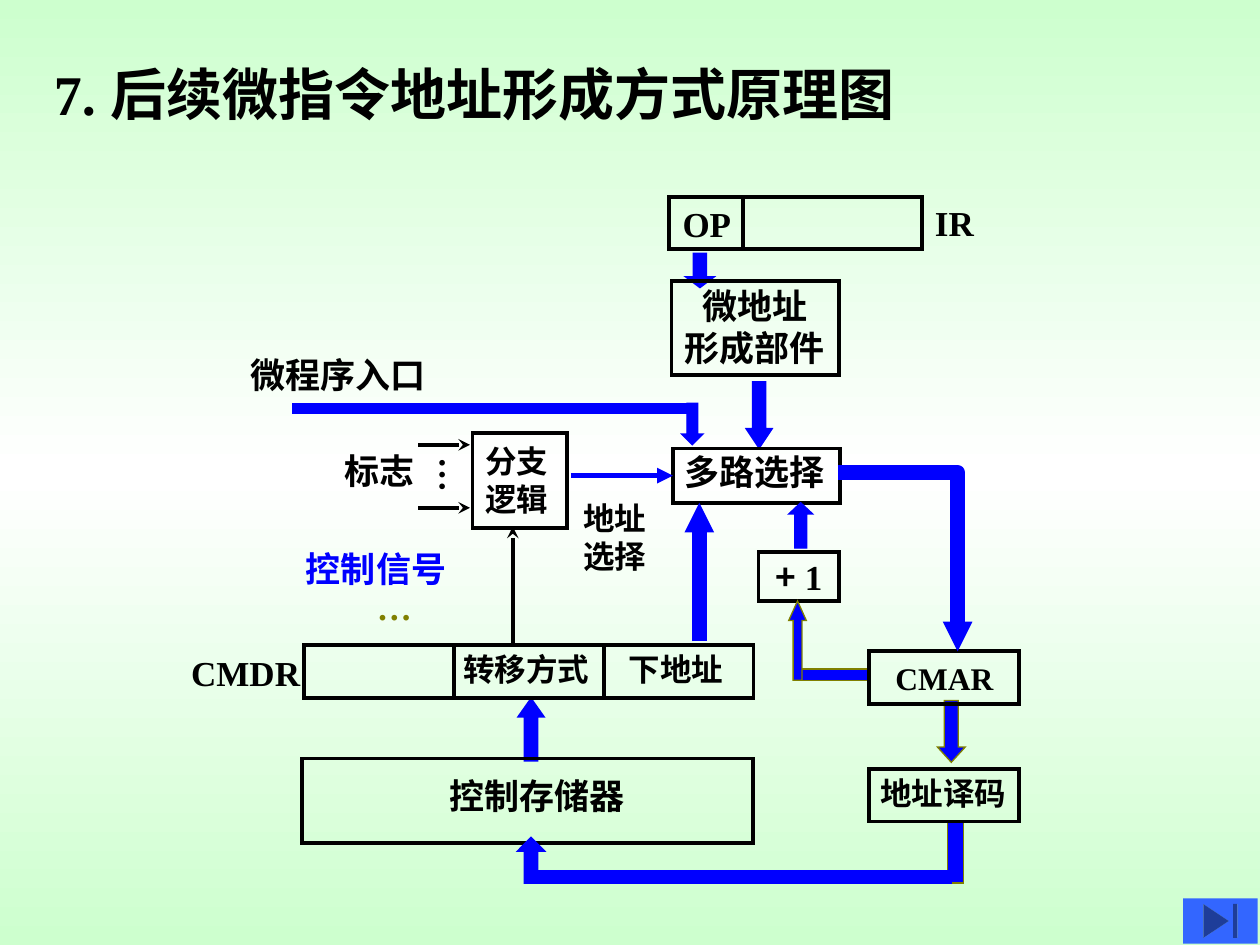
import dataclasses

import lxml.etree
import pptx
import pptx.dml.color
import pptx.enum.shapes
import pptx.enum.text
import pptx.oxml.ns
import pptx.util

Inches = pptx.util.Inches
Shape = pptx.enum.shapes.MSO_SHAPE
qn = pptx.oxml.ns.qn

BLUE, BLACK, OLIVE = "0000FF", "000000", "808000"
SERIF, SANS, CJK_SANS = "Times New Roman", "DejaVu Sans", "Noto Sans CJK SC"
INSETS = (0.1, 0.05, 0.1, 0.05)
LABEL_INSETS = (0.05, 0.05, 0.05, 0.05)


@dataclasses.dataclass
class Box:
    left: float
    top: float
    width: float
    height: float

    def inner(self, x, y, width, height):
        return Box(self.left + x, self.top + y, width, height)

    def point(self, x, y):
        return Inches(self.left + x), Inches(self.top + y)

    def lengths(self):
        return [Inches(v) for v in (self.left, self.top, self.width, self.height)]


def rgb(value):
    return pptx.dml.color.RGBColor.from_string(value)


def set_line(line, color, width):
    line.color.rgb = rgb(color)
    line.width = pptx.util.Pt(width)


def add_tail(shape, kind, size="med"):
    line = shape.line._get_or_add_ln()
    lxml.etree.SubElement(line, qn("a:tailEnd"), type=kind, w=size, len=size)


def write(shape, paragraphs, align="CENTER", insets=INSETS, wrap=False):
    """Each paragraph is a list of (text, size, font, color) runs."""
    frame = shape.text_frame
    frame.word_wrap = wrap
    (frame.margin_left, frame.margin_top,
     frame.margin_right, frame.margin_bottom) = [Inches(v) for v in insets]
    for index, runs in enumerate(paragraphs):
        para = frame.paragraphs[0] if index == 0 else frame.add_paragraph()
        para.alignment = getattr(pptx.enum.text.PP_ALIGN, align)
        for text, size, font, color in runs:
            span = para.add_run()
            span.text = text
            span.font.size = pptx.util.Pt(size)
            span.font.bold = True
            span.font.color.rgb = rgb(color)
            span.font.name = font
            if any("一" <= letter <= "龥" for letter in text):
                lxml.etree.SubElement(span._r.get_or_add_rPr(), qn("a:ea"), typeface=SANS)


def add_label(page, box, lines, size=20, color=BLACK, insets=LABEL_INSETS):
    label = page.shapes.add_textbox(*box.lengths())
    write(label, [[(line, size, SERIF, color)] for line in lines], insets=insets)
    return label


def add_shape(page, box, kind, fill=None, line=None, width=0.75):
    shape = page.shapes.add_shape(kind, *box.lengths())
    shape.shadow.inherit = False
    if fill:
        shape.fill.solid()
        shape.fill.fore_color.rgb = rgb(fill)
    else:
        shape.fill.background()
    if line:
        set_line(shape.line, line, width)
        lxml.etree.SubElement(shape.line._get_or_add_ln(), qn("a:miter"), lim="800000")
    else:
        shape.line.fill.background()
    return shape


def add_frame(page, box, runs=(), insets=INSETS):
    frame = add_shape(page, box, Shape.RECTANGLE, line=BLACK, width=2.25)
    if runs:
        write(frame, [runs], insets=insets)
        frame.text_frame.vertical_anchor = pptx.enum.text.MSO_ANCHOR.MIDDLE
    return frame


def add_bar(page, box, line=BLUE):
    return add_shape(page, box, Shape.RECTANGLE, BLUE, line)


def add_block_arrow(page, box, kind, head, line=BLUE, width=0.75):
    arrow = add_shape(page, box, kind, BLUE, line, width)
    arrow.adjustments[1] = head


def add_line(page, start, end, color, width, head, size="med"):
    line = page.shapes.add_connector(pptx.enum.shapes.MSO_CONNECTOR.STRAIGHT, *start, *end)
    set_line(line.line, color, width)
    add_tail(line, head, size)
    lxml.etree.SubElement(line._element.spPr, qn("a:effectLst"))
    return line


def paint_background(page):
    fill = page.background.fill
    fill.gradient()
    fill.gradient_angle = 270
    stops = page._element.xpath(".//p:bg//a:gsLst")[0]
    for stop in list(stops):
        stops.remove(stop)
    for position, color in ((0, "CDFFCE"), (50, "FFFFFF"), (100, "CDFFCE")):
        stop = lxml.etree.SubElement(stops, qn("a:gs"), pos=str(position * 1000))
        lxml.etree.SubElement(stop, qn("a:srgbClr"), val=color)


def draw_title(page, box):
    title = page.shapes.add_textbox(*box.lengths())
    write(title, [[("7. ", 32, SERIF, BLACK),
                   ("后续微指令地址形成方式原理图", 32, SANS, BLACK)]], "LEFT", wrap=True)


def draw_instruction_register(page, box):
    add_label(page, box.inner(0.01, 0.01, 0.58, 0.44), ["OP"])
    add_frame(page, box.inner(0, 0.01, 0.59, 0.42))
    add_frame(page, box.inner(0.59, 0.01, 1.42, 0.42))
    add_label(page, box.inner(2.01, 0, 0.51, 0.44), ["IR"])


def draw_selector(page, box):
    """Address former above the multiplexer; returns the multiplexer frame."""
    add_block_arrow(page, box.inner(0.15, 0, 0.17, 0.25), Shape.DOWN_ARROW, 0.374, width=2.25)
    add_block_arrow(page, box.inner(0.62, 1.02, 0.17, 0.5), Shape.DOWN_ARROW, 0.751, width=2.25)
    add_label(page, box.inner(0, 0.19, 1.34, 0.77), ["微地址", "形成部件"])
    add_frame(page, box.inner(0.01, 0.21, 1.33, 0.75))
    add_label(page, box.inner(0, 1.51, 1.34, 0.44), ["多路选择"])
    selector = add_frame(page, box.inner(0.02, 1.54, 1.33, 0.43))
    add_line(page, box.point(0.23, 3.07), box.point(0.23, 1.97), BLUE, 8.5, "triangle", "sm")
    return selector


def draw_program_entry(page, box):
    add_label(page, box.inner(0, 0, 1.59, 0.44), ["微程序入口"])
    add_bar(page, box.inner(0.43, 0.44, 3.17, 0.08))
    add_block_arrow(page, box.inner(3.52, 0.44, 0.17, 0.33), Shape.DOWN_ARROW, 0.5)


def draw_branch_logic(page, box, selector):
    add_label(page, box.inner(1.1, 0.02, 0.72, 0.7), ["分支", "逻辑"], 18)
    add_frame(page, box.inner(1.11, 0, 0.75, 0.75))
    # Flags on the left
    add_label(page, box.inner(0, 0.08, 0.75, 0.44), ["标志"])
    for y in (0.09, 0.59):
        add_line(page, box.point(0.68, y), box.point(1.09, y), BLACK, 2.25, "stealth")
    dots = add_label(page, box.inner(0.65, 0.16, 0.53, 0.38), ["…"],
                     insets=(0.05, 0.03, 0.05, 0.03))
    dots.text_frame._txBody.bodyPr.set("vert", "eaVert")
    # Transfer mode from below, address choice to the right
    add_line(page, box.point(1.43, 1.67), box.point(1.43, 0.74), BLACK, 2.25, "stealth")
    middle = selector.top + selector.height // 2
    choice = add_line(page, (box.point(1.89, 0)[0], middle), (selector.left, middle),
                      BLUE, 3, "triangle")
    choice.end_connect(selector, 1)
    add_label(page, box.inner(1.89, 0.47, 0.7, 0.7), ["地址", "选择"], 18)


def draw_control_store(page, box):
    add_label(page, box.inner(0.91, 0, 1.31, 0.44), ["控制信号"], color=BLUE)
    add_label(page, box.inner(1.47, 0.3, 0.48, 0.44), ["…"], color=OLIVE)
    add_block_arrow(page, box.inner(2.71, 1.26, 0.17, 0.47), Shape.UP_ARROW, 0.709, width=2.25)
    # Data register with its three fields
    add_label(page, box.inner(0, 0.82, 1.06, 0.44), ["CMDR"])
    for index, field in enumerate(("", "转移方式", "下地址")):
        add_frame(page, box.inner(0.99 + 1.19 * index, 0.82, 1.19, 0.42),
                  [(field, 18, SERIF, BLACK)] if field else (), (0.06, 0.01, 0.1, 0.05))
    # Store, with the address coming in from below
    add_label(page, box.inner(2.05, 1.8, 1.59, 0.44), ["控制存储器"])
    add_frame(page, box.inner(0.98, 1.72, 3.58, 0.67))
    add_bar(page, box.inner(2.78, 2.61, 3.35, 0.1))
    add_block_arrow(page, box.inner(2.71, 2.36, 0.17, 0.34), Shape.UP_ARROW, 0.508, width=2.25)


def draw_address_register(page, box):
    add_block_arrow(page, box.inner(1.42, 1.81, 0.22, 0.49), Shape.DOWN_ARROW, 0.548, OLIVE)
    add_bar(page, box.inner(1.5, 2.76, 0.13, 0.5), OLIVE)
    # Increment loop
    add_frame(page, box.inner(0, 0.63, 0.64, 0.39),
              [("+", 20, CJK_SANS, BLACK), (" 1", 20, SERIF, BLACK)])
    add_block_arrow(page, box.inner(0.24, 0.24, 0.19, 0.36), Shape.UP_ARROW, 0.472)
    add_bar(page, box.inner(0.31, 1.56, 0.57, 0.09), OLIVE)
    add_block_arrow(page, box.inner(0.24, 1.02, 0.14, 0.63), Shape.UP_ARROW, 1.107, OLIVE)
    # Register and decoder
    add_frame(page, box.inner(0.88, 1.42, 1.19, 0.42), [("CMAR", 18, SERIF, BLACK)])
    add_frame(page, box.inner(0.88, 2.35, 1.19, 0.42), [("地址译码", 18, SERIF, BLACK)],
              (0.08, 0.02, 0.1, 0.05))
    # Selected address turning down into the register
    builder = page.shapes.build_freeform(*box.point(0.63, 0))
    builder.add_line_segments([box.point(1.58, 0), box.point(1.58, 1.42)], close=False)
    route = builder.convert_to_shape()
    route.shadow.inherit = False
    route.fill.background()
    set_line(route.line, BLUE, 8.5)
    lxml.etree.SubElement(route.line._get_or_add_ln(), qn("a:round"))
    add_tail(route, "triangle", "sm")


def main():
    deck = pptx.Presentation()
    deck.slide_width, deck.slide_height = Inches(10), Inches(7.5)
    page = deck.slides.add_slide(deck.slide_layouts[6])
    paint_background(page)
    draw_title(page, Box(0.33, 0.42, 8.51, 0.64))
    draw_instruction_register(page, Box(5.31, 1.55, 2.52, 0.44))
    draw_program_entry(page, Box(1.89, 2.76, 3.69, 0.77))
    selector = draw_selector(page, Box(5.32, 2.02, 1.35, 3.07))
    draw_branch_logic(page, Box(2.64, 3.44, 2.7, 1.67), selector)
    draw_address_register(page, Box(6.02, 3.75, 2.07, 3.26))
    draw_control_store(page, Box(1.42, 4.3, 6.13, 2.71))
    # Button in the corner
    add_shape(page, Box(9.39, 7.13, 0.59, 0.36), Shape.ACTION_BUTTON_END, "3366FF")
    deck.save("out.pptx")


if __name__ == "__main__":
    main()
